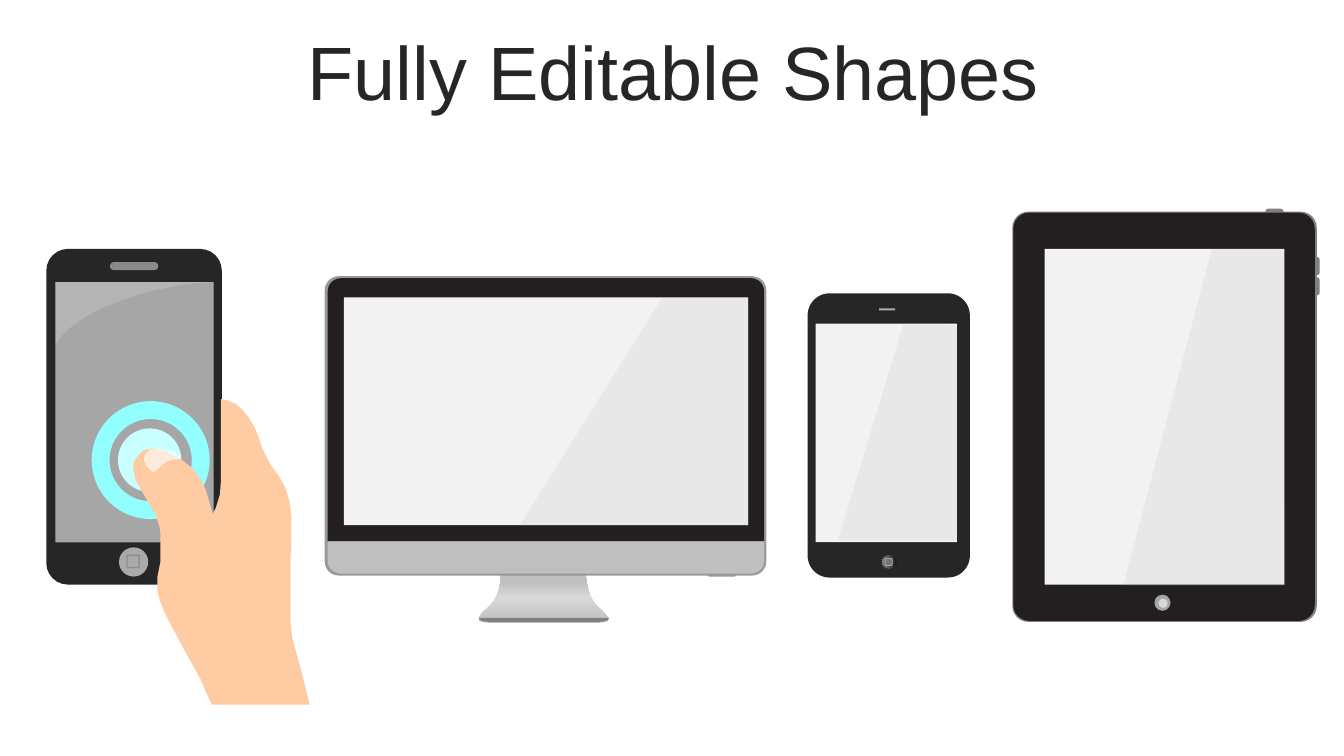
from lxml import etree
from pptx import Presentation
from pptx.dml.color import RGBColor
from pptx.enum import shapes, text
from pptx.oxml import ns
from pptx.util import Inches, Pt

COLORS = {
    "ink": "262626", "bezel": "231F20", "edge": "999999", "button": "808080",
    "silver": "BFBFBF", "light": "D9D9D9", "screen": "F2F2F2", "grey": "A6A6A6",
    "speaker": "B0B0B0", "pale": "ECECEC", "white": "FFFFFF", "square": "737373",
    "tap": "C9FFFF", "ring": "93FEFE", "skin": "FECBA3", "black": "0F0F0F",
    "dark": "595959",
}
GRADIENTS = {
    "metal": (270, [(0, "silver"), (53, "light"), (83, "silver"), (100, "silver")]),
    "lens": (180, [(0, "black"), (56, "dark"), (91, "button"), (100, "silver")]),
}
KINDS = {
    "rect": shapes.MSO_SHAPE.RECTANGLE, "round": shapes.MSO_SHAPE.ROUNDED_RECTANGLE,
    "oval": shapes.MSO_SHAPE.OVAL, "donut": shapes.MSO_SHAPE.DONUT,
    "ends": shapes.MSO_SHAPE.ROUND_2_SAME_RECTANGLE,
}
TITLE = "Fully Editable Shapes"
TITLE_BOX = (0.35, 0.36, 12.66, 0.79)
TITLE_PARAGRAPH = {"alignment": text.PP_ALIGN.CENTER, "line_spacing": 0.9, "space_before": Pt(10)}
TITLE_FONT = {"name": "Arial", "size": Pt(54), "bold": False}

STAND = [(5.91, 6), (5.82, 5.91, 5.81, 5.7, 5.81, 5.7), (4.97, 5.7),
         (4.97, 5.7, 4.97, 5.9, 4.87, 6), (4.78, 6.09, 4.64, 6.18, 4.89, 6.18),
         (5.9, 6.18), (6.14, 6.18, 6, 6.09, 5.91, 6)]
STAND_FOOT = [(4.75, 6.13), (4.75, 6.16, 4.79, 6.17, 4.89, 6.17), (5.9, 6.17),
              (6, 6.17, 6.04, 6.16, 6.04, 6.13)]
GLOSS = [(0.55, 2.8), (2.09, 2.8), (1.58, 2.82, 0.76, 3.05, 0.55, 3.42)]
HAND = [
    (2.19, 3.96), (2.25, 3.97), (2.34, 4.01), (2.41, 4.07), (2.47, 4.15), (2.52, 4.23),
    (2.56, 4.32), (2.59, 4.42), (2.63, 4.51), (2.69, 4.62), (2.77, 4.73), (2.83, 4.84),
    (2.87, 4.97), (2.89, 5.13), (2.89, 5.39), (2.88, 5.57), (2.88, 6.16), (2.9, 6.33),
    (2.94, 6.48), (3, 6.7), (3.07, 6.99), (2.1, 6.99), (2.05, 6.88), (1.99, 6.74),
    (1.84, 6.47), (1.7, 6.21), (1.64, 6.09), (1.59, 5.97), (1.57, 5.9), (1.56, 5.84),
    (1.56, 5.73), (1.59, 5.58), (1.59, 5.28), (1.58, 5.22), (1.56, 5.16), (1.54, 5.1),
    (1.51, 5.05), (1.36, 4.79), (1.34, 4.74), (1.32, 4.64), (1.33, 4.58), (1.37, 4.52),
    (1.42, 4.47), (1.46, 4.46), (1.51, 4.45), (1.58, 4.46), (1.66, 4.48), (1.72, 4.52),
    (1.79, 4.55), (1.85, 4.6), (1.91, 4.65), (1.95, 4.7), (1.99, 4.76), (2.04, 4.86),
    (2.07, 4.96), (2.11, 5.1), (2.14, 5.04), (2.18, 4.91), (2.19, 4.79),
]
NAIL = [
    (1.56, 4.45), (1.63, 4.46), (1.7, 4.48), (1.76, 4.51), (1.79, 4.53), (1.79, 4.56),
    (1.71, 4.56), (1.65, 4.58), (1.61, 4.61), (1.56, 4.66), (1.54, 4.68), (1.51, 4.68),
    (1.48, 4.65), (1.45, 4.62), (1.43, 4.57), (1.43, 4.54), (1.44, 4.51), (1.47, 4.47),
    (1.52, 4.45),
]

DEVICES = {
    "monitor": [
        ("path", STAND, "metal"),
        ("round", (3.22, 2.74, 4.38, 2.97), "edge", [0.047]),
        ("ends", (7.02, 5.69, 0.28, 0.03), "edge", [0, 0.5]),
        ("ends", (3.25, 2.76, 4.33, 2.61), "bezel", [0.05, 0]),
        ("path", STAND_FOOT, "button"),
        ("ends", (3.25, 5.37, 4.33, 0.32), "silver", [0, 0.4]),
        ("rect", (3.41, 2.95, 4.01, 2.26), "screen"),
        ("path", [(6.57, 2.95), (7.43, 2.95), (7.43, 5.22), (5.15, 5.22)], ("edge", 10)),
    ],
    "tablet": [
        ("round", (12.55, 2.07, 0.18, 0.06), "button", [0.5]),
        ("round", (13.03, 2.75, 0.06, 0.18), "button", [0.5]),
        ("round", (13.03, 2.55, 0.06, 0.18), "button", [0.5]),
        ("round", (10.04, 2.1, 3.02, 4.07), "button", [0.053]),
        ("round", (10.05, 2.11, 2.99, 4.05), "bezel", [0.053]),
        ("rect", (10.36, 2.47, 2.38, 3.33), "screen"),
        ("path", [(12.02, 2.47), (12.74, 2.47), (12.75, 5.81), (11.14, 5.81)], ("edge", 10)),
        ("oval", (11.45, 5.9, 0.16, 0.16), "grey"),
        ("oval", (11.49, 5.94, 0.09, 0.09), "light"),
    ],
    "small tablet": [
        ("round", (8.01, 2.91, 1.61, 2.82), "ink", [0.136]),
        ("rect", (8.72, 3.06, 0.16, 0.02), "speaker"),
        ("oval", (8.74, 5.5, 0.16, 0.15), "lens", [], ("ink", 0)),
        ("round", (8.78, 5.54, 0.07, 0.07), "square", [], ("speaker", 0.5)),
        ("rect", (8.09, 3.21, 1.4, 2.17), "screen"),
        ("path", [(8.96, 3.22), (9.49, 3.23), (9.49, 5.36), (8.31, 5.36)], ("edge", 10)),
    ],
    "phone in hand": [
        ("round", (0.46, 2.47, 1.74, 3.33), "ink", [0.123]),
        ("rect", (0.55, 2.8, 1.57, 2.58), "grey"),
        ("round", (1.09, 2.6, 0.48, 0.08), ("pale", 51), [0.5]),
        ("oval", (1.18, 5.43, 0.29, 0.29), ("pale", 67)),
        ("rect", (1.26, 5.51, 0.12, 0.12), None, [], ("ink", 1, 22)),
        ("path", GLOSS, ("white", 16)),
        ("oval", (1.17, 4.25, 0.63, 0.63), "tap"),
        ("donut", (0.91, 3.98, 1.17, 1.17), "ring", [0.151]),
        ("path", HAND, "skin"),
        ("path", NAIL, ("white", 60)),
    ],
}


def add_node(parent, tag, **attributes):
    return etree.SubElement(parent, ns.qn(tag), {k: str(v) for k, v in attributes.items()})


def paint(fill, color, alpha=100):
    fill.solid()
    fill.fore_color.rgb = RGBColor.from_string(COLORS[color])
    if alpha < 100:
        solid = fill._xPr.find(ns.qn("a:solidFill"))
        add_node(solid[0], "a:alpha", val=alpha * 1000)


def paint_gradient(fill, angle, stops):
    fill.gradient()
    gradient = fill._xPr.find(ns.qn("a:gradFill"))
    for child in list(gradient):
        gradient.remove(child)
    stop_list = add_node(gradient, "a:gsLst")
    for position, color in stops:
        stop = add_node(stop_list, "a:gs", pos=position * 1000)
        add_node(stop, "a:srgbClr", val=COLORS[color])
    add_node(gradient, "a:lin", ang=angle * 60000, scaled=0)


def flatten(nodes, steps=12):
    points = [nodes[0]]
    for node in nodes[1:]:
        if len(node) == 2:
            points.append(node)
            continue
        controls = (points[-1], node[:2], node[2:4], node[4:])
        for step in range(1, steps + 1):
            t = step / steps
            weights = ((1 - t) ** 3, 3 * t * (1 - t) ** 2, 3 * t * t * (1 - t), t ** 3)
            points.append(tuple(sum(w * c[axis] for w, c in zip(weights, controls))
                                for axis in (0, 1)))
    return [(Inches(x), Inches(y)) for x, y in points]


def add_part(device, kind, geometry, fill, adjustments=(), outline=None):
    if kind == "path":
        start, *rest = flatten(geometry)
        builder = device.shapes.build_freeform(*start)
        builder.add_line_segments(rest, close=True)
        part = builder.convert_to_shape()
    else:
        part = device.shapes.add_shape(KINDS[kind], *map(Inches, geometry))
        for index, value in enumerate(adjustments):
            part.adjustments[index] = value
    part.shadow.inherit = False
    if fill is None:
        part.fill.background()
    elif fill in GRADIENTS:
        paint_gradient(part.fill, *GRADIENTS[fill])
    else:
        paint(part.fill, *((fill,) if isinstance(fill, str) else fill))
    if outline:
        color, width, *alpha = outline
        part.line.width = Pt(width)
        paint(part.line.fill, color, *alpha)
    else:
        part.line.fill.background()


deck = Presentation()
deck.slide_width, deck.slide_height = Inches(13.33), Inches(7.5)
slide = deck.slides.add_slide(deck.slide_layouts[5])

title = slide.shapes.title
for side, length in zip(("left", "top", "width", "height"), TITLE_BOX):
    setattr(title, side, Inches(length))
title.text_frame.text = TITLE
title.text_frame.vertical_anchor = text.MSO_ANCHOR.MIDDLE
heading = title.text_frame.paragraphs[0]
for target, formats in ((heading, TITLE_PARAGRAPH), (heading.runs[0].font, TITLE_FONT)):
    for attribute, value in formats.items():
        setattr(target, attribute, value)
heading.runs[0].font.color.rgb = RGBColor.from_string(COLORS["ink"])

for parts in DEVICES.values():
    device = slide.shapes.add_group_shape()
    for part in parts:
        add_part(device, *part)

deck.save("out.pptx")
